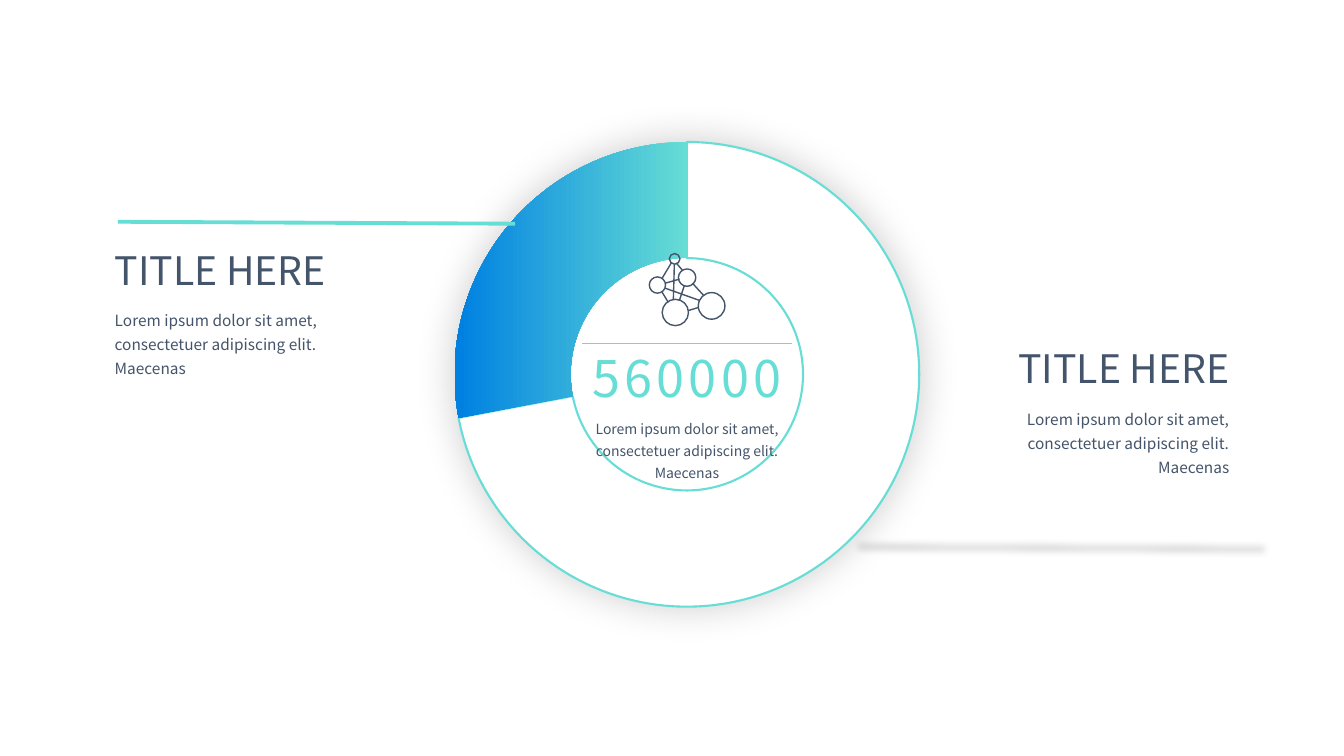
from lxml import etree
from pptx import Presentation
from pptx import util as u
from pptx.chart.data import CategoryChartData
from pptx.dml.color import RGBColor
from pptx.enum import chart as charts, shapes, text
from pptx.oxml import parse_xml
from pptx.oxml.ns import nsdecls, qn

COLORS = {"white": "FFFFFF", "teal": "66DDD5", "blue": "0081E1", "slate": "44546A", "black": "000000"}
FONT = "Noto Sans CJK SC"
LOREM = "Lorem ipsum dolor sit amet, consectetuer adipiscing elit. Maecenas"
LEFT, CENTER, RIGHT = text.PP_ALIGN.LEFT, text.PP_ALIGN.CENTER, text.PP_ALIGN.RIGHT

ICON_NODES = [
    (481.9, 184.9, 3.8),
    (469.6, 203.6, 5.8),
    (482.4, 223.2, 9.4),
    (490.8, 198.3, 6.2),
    (508.3, 218.5, 9.5),
]
ICON_EDGES = [
    ((499, 219.6), (491.8, 221.8)),
    ((475.2, 202.3), (485.3, 199.4)),
    ((485.3, 214.6), (488.9, 203.8)),
    ((477.4, 216), (473, 208.8)),
    ((499.7, 214.6), (475.2, 205.9)),
    ((479.5, 187.9), (473, 198.7)),
    ((502.6, 211), (494.6, 202.3)),
    ((481, 213.8), (481.7, 188.6)),
    ((483.1, 187.9), (487.4, 193)),
]
CIRCLE = [
    (-1, 0), (-1, -0.55), (-0.55, -1), (0, -1), (0.55, -1), (1, -0.55), (1, 0),
    (1, 0.55), (0.55, 1), (0, 1), (-0.55, 1), (-1, 0.55), (-1, 0),
]


def rgb(name):
    return RGBColor.from_string(COLORS[name])


def pts(*values):
    return [u.Pt(v) for v in values]


def fade(fill):
    fill.gradient()
    fill.gradient_angle = 180
    for stop, name, position in zip(fill.gradient_stops, ("teal", "blue"), (0, 0.98)):
        stop.color.rgb = rgb(name)
        stop.position = position


class Deck:
    def __init__(self, width, height):
        self.prs = Presentation()
        self.prs.slide_width, self.prs.slide_height = pts(width, height)
        self.s = self.prs.slides.add_slide(self.prs.slide_layouts[6])

    def shadow(self, sp, blur, alpha):
        effects = sp._element.spPr.find(qn("a:effectLst"))
        effects.append(parse_xml(
            f'<a:outerShdw {nsdecls("a")} blurRad="{u.Pt(blur)}" sx="102000" sy="102000" algn="ctr" rotWithShape="0">'
            f'<a:srgbClr val="{COLORS["black"]}"><a:alpha val="{alpha * 1000}"/></a:srgbClr></a:outerShdw>'))

    def line(self, x1, y1, x2, y2, color, width):
        sp = self.s.shapes.add_connector(shapes.MSO_CONNECTOR.STRAIGHT, *pts(x1, y1, x2, y2))
        sp.line.color.rgb = rgb(color)
        sp.line.width = u.Pt(width)
        etree.SubElement(sp._element.spPr, qn("a:effectLst"))
        return sp

    def ring(self, x, y, size, thickness):
        sp = self.s.shapes.add_shape(shapes.MSO_SHAPE.DONUT, *pts(x, y, size, size))
        sp.adjustments[0] = thickness
        sp.fill.solid()
        sp.fill.fore_color.rgb = rgb("white")
        sp.line.fill.background()
        sp.shadow.inherit = False
        return sp

    def doughnut(self, x, y, w, h, values, plot_size):
        data = CategoryChartData()
        data.categories = [str(i) for i in range(1, len(values) + 1)]
        data.add_series("Series 1", values)
        chart = self.s.shapes.add_chart(charts.XL_CHART_TYPE.DOUGHNUT, *pts(x, y, w, h), data).chart
        chart.has_legend = False
        chart.has_title = False
        chart.font.name = FONT
        chart.font.size = u.Pt(10)
        chart.font.color.rgb = rgb("black")
        plot = chart.plots[0]
        plot.has_data_labels = False
        plot.vary_by_categories = True
        rest, share = (plot.series[0].points[i].format for i in range(2))
        rest.fill.solid()
        rest.fill.fore_color.rgb = rgb("white")
        rest.line.color.rgb = rgb("teal")
        rest.line.width = u.Pt(1.5)
        fade(share.fill)
        share.line.fill.background()
        area = chart._chartSpace.chart.plotArea
        area.find(".//" + qn("c:holeSize")).set("val", "75")
        for old in area.findall(qn("c:layout")):
            area.remove(old)
        pw, ph = plot_size / w, plot_size / h
        box = {"x": (1 - pw) / 2, "y": (1 - ph) / 2, "w": pw, "h": ph}
        sizes = "".join(f'<c:{k} val="{v:.4f}"/>' for k, v in box.items())
        area.insert(0, parse_xml(
            f'<c:layout {nsdecls("c")}><c:manualLayout><c:layoutTarget val="inner"/>'
            f'<c:xMode val="edge"/><c:yMode val="edge"/>{sizes}</c:manualLayout></c:layout>'))

    def network_icon(self, nodes, edges):
        circles = [[(x + r * dx, y + r * dy) for dx, dy in CIRCLE] for x, y, r in nodes]
        strokes = [[start, end, end, end] for start, end in edges]
        builder = self.s.shapes.build_freeform(*pts(*circles[0][0]))
        for i, outline in enumerate(circles + strokes):
            start, *others = [pts(*point) for point in outline]
            if i:
                builder.move_to(*start)
            builder.add_line_segments(others, close=i < len(circles))
        sp = builder.convert_to_shape()
        self.curve(sp)
        sp.fill.background()
        sp.line.color.rgb = rgb("slate")
        sp.line.width = u.Pt(1)
        sp.shadow.inherit = False

    def curve(self, sp):
        segments = list(sp._element.iter(qn("a:lnTo")))
        for i in range(0, len(segments), 3):
            bezier = etree.Element(qn("a:cubicBezTo"))
            segments[i].addprevious(bezier)
            for segment in segments[i:i + 3]:
                bezier.append(segment[0])
                segment.getparent().remove(segment)

    def text(self, x, y, w, h, words, size, align, spacing=None):
        tf = self.s.shapes.add_textbox(*pts(x, y, w, h)).text_frame
        tf.word_wrap = True
        tf.auto_size = text.MSO_AUTO_SIZE.SHAPE_TO_FIT_TEXT
        p = tf.paragraphs[0]
        p.text = words
        p.alignment = align
        if spacing:
            p.line_spacing = spacing
        p.font.name = FONT
        p.font.size = u.Pt(size)
        p.font.color.rgb = rgb("slate")
        return p

    def figure(self, x, y, w, h, words):
        p = self.text(x, y, w, h, words, 36, CENTER)
        fade(p.font.fill)
        p._p.pPr.find(qn("a:defRPr")).set("spc", "300")

    def callout(self, x, y, align):
        self.text(x, y, 165.6, 41.2, "TITLE HERE", 28, align)
        self.text(x, y + 42.9, 165.6, 57.6, LOREM, 11, align, 1.3)


def main():
    deck = Deck(960, 540)
    deck.shadow(deck.line(884.9, 384.5, 601.2, 383, "white", 2.75), 5, 21)
    deck.shadow(deck.ring(326.9, 103, 328.3, 0.107), 28, 18)
    deck.doughnut(238.3, 91.4, 504.7, 352.1, (72, 28), 332)
    deck.network_icon(ICON_NODES, ICON_EDGES)
    deck.figure(403.2, 244.1, 175, 51.1, "560000")
    deck.line(415.4, 245.5, 565.9, 245.5, "teal", 1)
    deck.text(407.9, 293.3, 165.6, 53.3, LOREM, 10, CENTER, 1.3)
    deck.line(367.9, 159.8, 84.2, 158.4, "teal", 2.75)
    deck.callout(74.9, 172.1, LEFT)
    deck.callout(719.6, 242.6, RIGHT)
    deck.prs.save("out.pptx")


if __name__ == "__main__":
    main()
